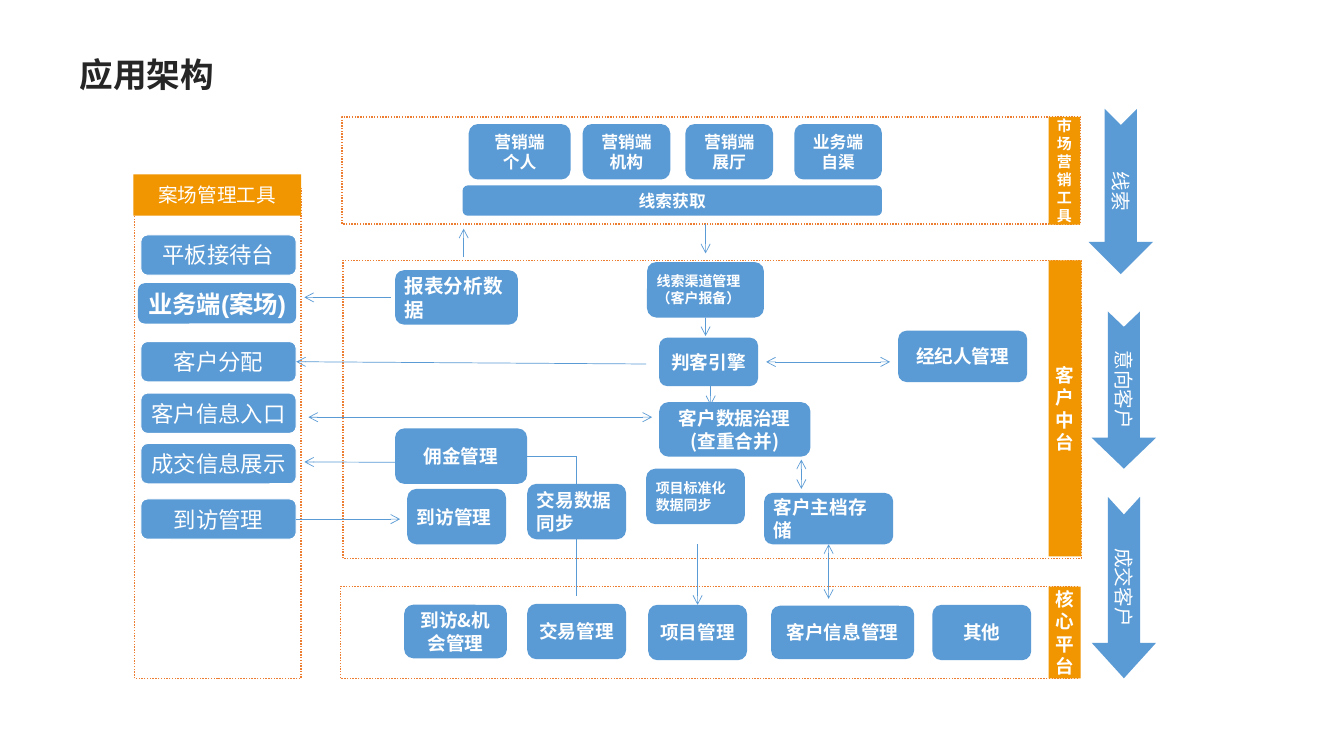
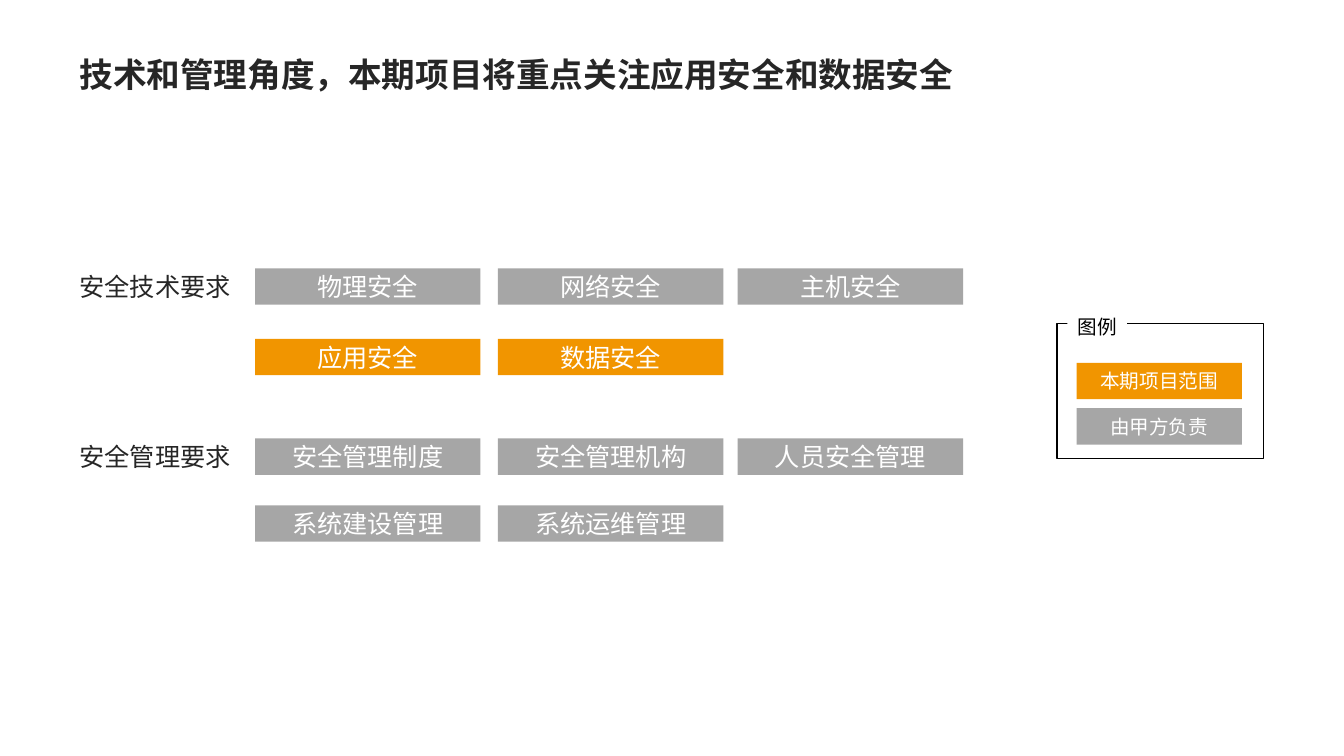
"""Build two slides: the application architecture and the security scope."""
from lxml.etree import SubElement
from pptx import Presentation
from pptx.dml.color import RGBColor
from pptx.enum.dml import MSO_LINE
from pptx.enum.shapes import MSO_CONNECTOR, MSO_SHAPE
from pptx.enum.text import MSO_ANCHOR, PP_ALIGN
from pptx.oxml.ns import qn
from pptx.util import Pt

BLUE, ORANGE, GRAY, FRAME = "5B9BD5", "F19500", "A6A6A6", "ED7D31"
WHITE, BLACK, INK = "FFFFFF", "000000", "262626"
JP, SC = "Noto Sans CJK JP", "Noto Sans CJK SC"
RECT, ROUND = MSO_SHAPE.RECTANGLE, MSO_SHAPE.ROUNDED_RECTANGLE
LEFT, CENTER = PP_ALIGN.LEFT, PP_ALIGN.CENTER
rgb = RGBColor.from_string


def add_box(s, kind, at, text="", size=13.3, fill=None, line=None, weight=0.75,
            font=JP, color=WHITE, bold=False, align=CENTER, inset=5, wrap=True):
    """Add a preset shape, or a text box when kind is None."""
    at = [Pt(v) for v in at]
    if kind is None:
        sp = s.shapes.add_textbox(*at)
    else:
        sp = s.shapes.add_shape(kind, *at)
        sp.shadow.inherit = False
        if fill:
            sp.fill.solid()
            sp.fill.fore_color.rgb = rgb(fill)
        else:
            sp.fill.background()
        if line:
            sp.line.color.rgb = rgb(line)
            sp.line.width = Pt(weight)
        else:
            sp.line.fill.background()
    tf = sp.text_frame
    tf.word_wrap = wrap
    tf.vertical_anchor = MSO_ANCHOR.TOP if kind is None else MSO_ANCHOR.MIDDLE
    tf.margin_left = tf.margin_right = Pt(inset)
    tf.margin_top = tf.margin_bottom = Pt(3.6)
    for i, part in enumerate(text.split("\n") if text else []):
        p = tf.add_paragraph() if i else tf.paragraphs[0]
        p.alignment = align
        p.line_spacing = Pt(round(size * 1.2, 1))
        r = p.add_run()
        r.text = part
        r.font.name, r.font.size, r.font.bold = font, Pt(size), bold
        r.font.color.rgb = rgb(color)
        SubElement(r.font._element, qn("a:ea")).set("typeface", font)
    return sp


def add_link(s, x1, y1, x2, y2, ends="tail", start=None, end=None):
    """Add a thin blue connector with the named arrowheads and joins."""
    c = s.shapes.add_connector(MSO_CONNECTOR.STRAIGHT, Pt(x1), Pt(y1), Pt(x2), Pt(y2))
    c.line.color.rgb = rgb(BLUE)
    c.line.width = Pt(0.5)
    ln = c.line._get_or_add_ln()
    for name in ends.split():
        SubElement(ln, qn(f"a:{name}End")).set("type", "arrow")
    SubElement(c._element.spPr, qn("a:effectLst"))
    if start:
        c.begin_connect(*start)
    if end:
        c.end_connect(*end)


prs = Presentation()
prs.slide_width, prs.slide_height = Pt(960), Pt(540)
slides = []
for title, width in [("应用架构", 214), ("技术和管理角度，本期项目将重点关注应用安全和数据安全", 678)]:
    s = prs.slides.add_slide(prs.slide_layouts[6])
    add_box(s, None, (49.7, 35.3, width, 36), title, 24, color=INK, bold=True,
            align=LEFT, inset=7.2)
    slides.append(s)

s = slides[0]
for at in [(96, 134.6, 119, 350), (244.3, 83.5, 527.5, 76.5),
           (245, 186, 527.5, 213), (243, 419, 527.5, 65.5)]:
    frame = add_box(s, RECT, at, line=FRAME, weight=1)
    frame.line.dash_style = MSO_LINE.ROUND_DOT

for at, text, size in [((749, 83.5, 22.5, 77), "市场营销\n工具", 10.7),
                       ((749, 186, 23.5, 211.5), "客户中台", 13.3),
                       ((749, 419, 23, 65.5), "核心平台", 13.3)]:
    add_box(s, RECT, at, text, size, ORANGE, bold=True)
add_box(s, RECT, (95.2, 124.6, 120, 29.5), "案场管理工具", 14, ORANGE)

boxes = {}
for x, y, w, h, text, size, align in [
    (334.8, 88.6, 72.7, 39.6, "营销端\n个人", 12, CENTER),
    (416.2, 88.6, 62.6, 39.6, "营销端\n机构", 12, CENTER),
    (489.6, 88.6, 62.6, 39.6, "营销端\n展厅", 12, CENTER),
    (567.4, 88.6, 62.6, 39.6, "业务端\n自渠", 12, CENTER),
    (330.5, 132.5, 299.5, 21.6, "线索获取", 12, CENTER),
    (462.2, 187.2, 83.5, 39.6, "线索渠道管理（客户报备）", 10, LEFT),
    (282.2, 193, 87.8, 38.9, "报表分析数据", 14, LEFT),
    (470.9, 241.2, 70.6, 34.6, "判客引擎", 13.3, CENTER),
    (641.5, 236.2, 92.2, 36.7, "经纪人管理", 13.3, CENTER),
    (470.9, 287.3, 108, 38.9, "客户数据治理(查重合并)", 13.3, CENTER),
    (282.2, 306, 94.3, 39.6, "佣金管理", 13.3, CENTER),
    (290.9, 349.2, 70.6, 39.6, "到访管理", 13.3, LEFT),
    (376.6, 345.6, 70.6, 39.6, "交易数据同步", 13.3, LEFT),
    (461.5, 334.8, 70.6, 39.6, "项目标准化数据同步", 10, LEFT),
    (545.8, 352.1, 92.2, 36.7, "客户主档存储", 13.3, LEFT),
    (288.7, 432, 73.4, 38.2, "到访&机会管理", 13.3, CENTER),
    (376.6, 431.3, 70.6, 39.6, "交易管理", 13.3, CENTER),
    (463, 432, 70.6, 39.6, "项目管理", 13.3, CENTER),
    (550.8, 432.7, 102.2, 38.2, "客户信息管理", 13.3, CENTER),
    (666, 432, 70.6, 39.6, "其他", 13.3, CENTER),
]:
    boxes[text] = add_box(s, ROUND, (x, y, w, h), text, size, BLUE, bold=True, align=align)

tools = {}
for y, text in [(167.8, "平板接待台"), (244, "客户分配"), (280.8, "客户信息入口"),
                (316.8, "成交信息展示"), (356.4, "到访管理")]:
    tools[text] = add_box(s, ROUND, (100.6, y, 111, 28.8), text, 16, BLUE, WHITE)
add_box(s, ROUND, (98.6, 202.3, 113, 28.8), "业务端(案场)", 17.4, BLUE,
        font="Arial", bold=True, inset=0, wrap=False)

for x, y, length, head, text in [(741.6, 113.8, 118, 0.5, "线索"),
                                 (746.6, 255.6, 112.3, 0.48, "意向客户"),
                                 (738, 396.7, 129.6, 0.55, "成交客户")]:
    arrow = add_box(s, MSO_SHAPE.NOTCHED_RIGHT_ARROW, (x, y, length, 46), text, 14, BLUE)
    arrow.adjustments[1] = head
    arrow.rotation = 90

sync, commission = boxes["交易数据同步"], boxes["佣金管理"]
add_link(s, 504, 160, 504, 181)
add_link(s, 504, 226.8, 504, 240, start=(boxes["线索渠道管理（客户报备）"], 2))
add_link(s, 507.6, 268.6, 507.6, 289.4)
add_link(s, 547.2, 258.5, 635.8, 258.5, "head tail")
add_link(s, 461.5, 260, 211.6, 258.4, end=(tools["客户分配"], 3))
add_link(s, 331.2, 183.6, 331.2, 163.4)
add_link(s, 279.4, 212.4, 217.4, 212.4)
add_link(s, 220.3, 298, 465.8, 298, "head tail")
add_link(s, 283.7, 330.2, 217.4, 330)
add_link(s, 411.9, 425.5, 411.9, 385.2, "", end=(sync, 2))
add_link(s, 411.9, 345.6, 411.9, 325.8, "", start=(sync, 0))
add_link(s, 411.9, 325.8, 376.5, 325.8, "", end=(commission, 3))
add_link(s, 211.6, 370.8, 285.8, 370.8, start=(tools["到访管理"], 3))
add_link(s, 498.3, 388.8, 498.3, 432, end=(boxes["项目管理"], 0))
add_link(s, 572.4, 349.2, 572.4, 328.3, "head tail")
add_link(s, 591.9, 427.7, 591.9, 388.8, "head tail", end=(boxes["客户主档存储"], 2))

s = slides[1]
for y, text in [(190, "安全技术要求"), (312, "安全管理要求")]:
    add_box(s, None, (49.7, y, 123, 28.8), text, 18, color=INK, align=LEFT,
            inset=7.2, wrap=False)
for y, fill, names in [(191.7, GRAY, ["物理安全", "网络安全", "主机安全"]),
                       (242, ORANGE, ["应用安全", "数据安全"]),
                       (313.2, GRAY, ["安全管理制度", "安全管理机构", "人员安全管理"]),
                       (360.9, GRAY, ["系统建设管理", "系统运维管理"])]:
    for x, text in zip((182.2, 355.7, 527), names):
        add_box(s, RECT, (x, y, 161, 26), text, 18, fill, font=SC)

add_box(s, RECT, (755, 231, 147.6, 96.5), line=BLACK)
add_box(s, RECT, (762.5, 221, 42.5, 24.5), "图例", 14, WHITE, font="Arial",
        color=BLACK, wrap=False)
for y, fill, text in [(259.2, ORANGE, "本期项目范围"), (291.6, GRAY, "由甲方负责")]:
    add_box(s, RECT, (769, y, 118, 26), text, 14, fill, font=SC)

prs.save("out.pptx")
